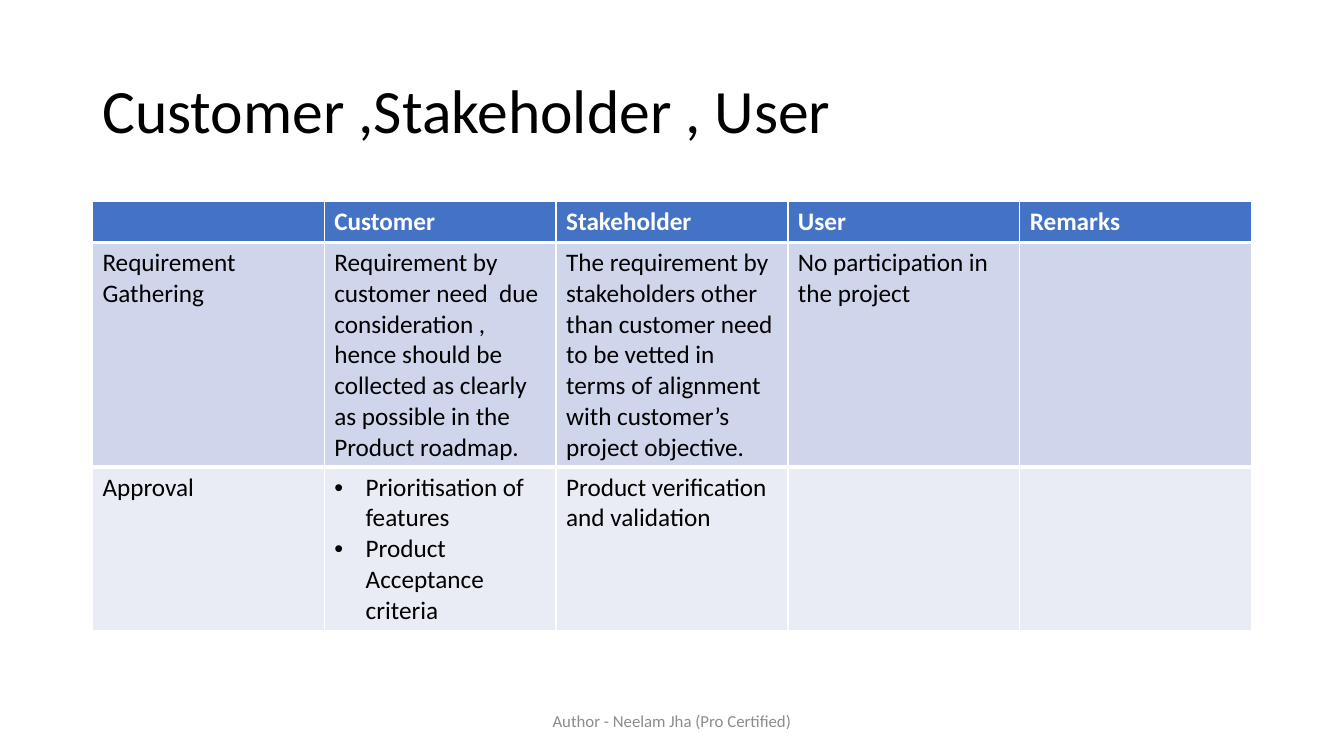
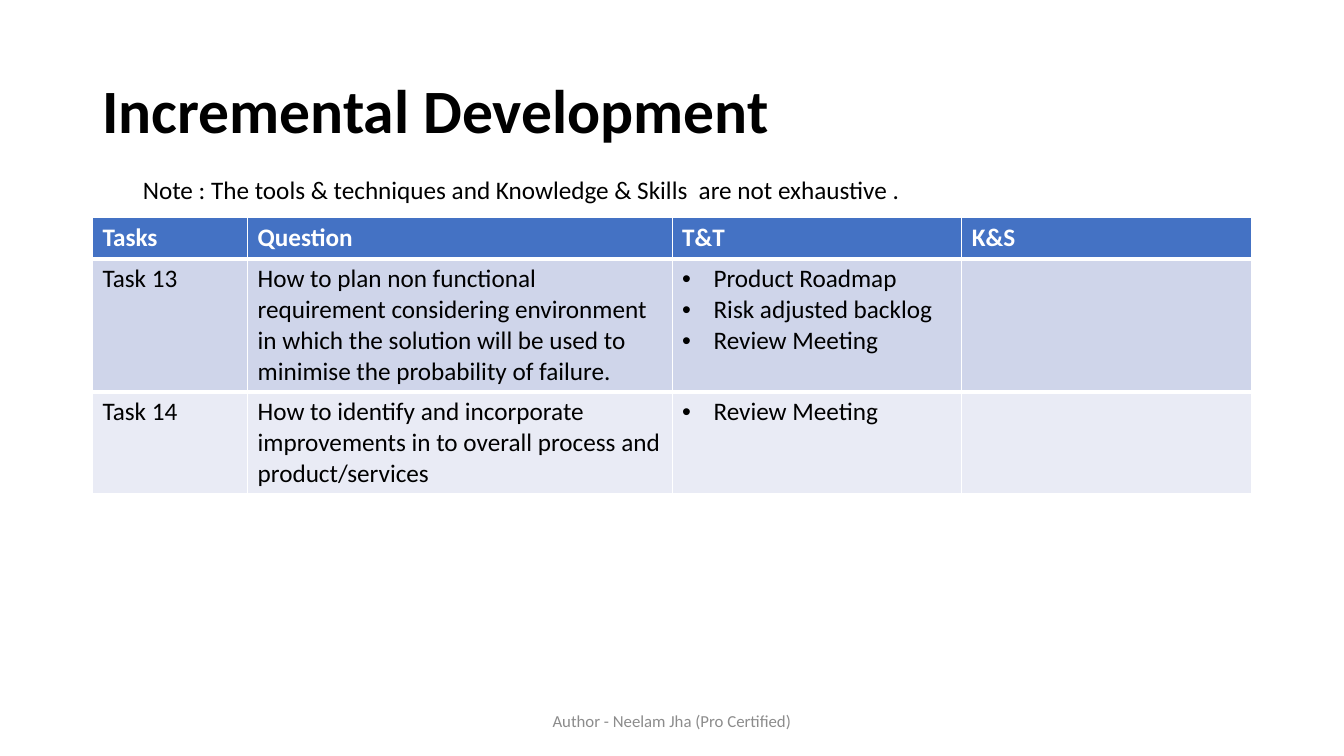
from dataclasses import dataclass

from lxml import etree
from pptx import Presentation
from pptx.dml.color import RGBColor
from pptx.enum import text
from pptx.oxml import ns
from pptx.util import Cm, Pt


@dataclass(frozen=True)
class Theme:
    """Colours, type sizes and shared measures."""
    font: str = "Calibri"
    ink: str = "000000"
    pale: str = "FFFFFF"
    grey: str = "8C8C8C"
    head: str = "4472C4"
    bands: tuple = ("CFD5EA", "E9EBF5")
    title: int = 44
    body: int = 18
    small: int = 12
    rule: int = 3
    left: float = 2.33
    width: float = 29.21
    indent: float = 0.79


THEME = Theme()
FOOTER = "Author - Neelam Jha (Pro Certified)"

ROLES = [
    ["", "Customer", "Stakeholder", "User", "Remarks"],
    ["Requirement Gathering",
     "Requirement by customer need  due consideration , hence should be "
     "collected as clearly as possible in the Product roadmap.",
     "The requirement by stakeholders other than customer need to be vetted "
     "in terms of alignment with customer’s project objective.",
     "No participation in the project", ""],
    ["Approval",
     ["Prioritisation of features", "Product Acceptance criteria"],
     "Product verification and validation", "", ""],
]

TASKS = [
    ["Tasks", "Question", "T&T", "K&S"],
    ["Task 13",
     "How to plan non functional requirement considering environment in "
     "which the solution will be used to minimise the probability of failure.",
     ["Product Roadmap", "Risk adjusted backlog", "Review Meeting"], ""],
    ["Task 14",
     "How to identify and incorporate improvements in to overall process and "
     "product/services",
     ["Review Meeting"], ""],
]


def style(para, size, color, bold=False):
    """Set the font of a paragraph."""
    font = para.font
    font.name, font.size, font.bold = THEME.font, Pt(size), bold
    font.color.rgb = RGBColor.from_string(color)


def bullet(para):
    """Give a paragraph a round bullet and a hanging indent."""
    props = para._p.get_or_add_pPr()
    props.set("marL", str(Cm(THEME.indent)))
    props.set("indent", str(-Cm(THEME.indent)))
    etree.SubElement(props, ns.qn("a:buFont")).set("typeface", "Arial")
    etree.SubElement(props, ns.qn("a:buChar")).set("char", "•")


def edge(cell, side):
    """Draw a thick pale border on one side of a cell."""
    line = etree.Element(ns.qn(side), w=str(Pt(THEME.rule)))
    paint = etree.SubElement(line, ns.qn("a:solidFill"))
    etree.SubElement(paint, ns.qn("a:srgbClr")).set("val", THEME.pale)
    cell._tc.get_or_add_tcPr().insert(0, line)


def label(slide, words, box, size, color, bold=False, wrap=True):
    """Add a text box and return its paragraph."""
    frame = slide.shapes.add_textbox(*map(Cm, box)).text_frame
    frame.word_wrap = wrap
    frame.vertical_anchor = text.MSO_ANCHOR.MIDDLE
    para = frame.paragraphs[0]
    para.text = words
    style(para, size, color, bold)
    return para


def page(deck, title, bold=False):
    """Add a slide with its title and footer."""
    slide = deck.slides.add_slide(deck.slide_layouts[6])
    box = (THEME.left, 1.01, THEME.width, 3.68)
    label(slide, title, box, THEME.title, THEME.ink, bold).line_spacing = 0.9
    foot = label(slide, FOOTER, (11.22, 17.65, 11.43, 1.01),
                 THEME.small, THEME.grey)
    foot.alignment = text.PP_ALIGN.CENTER
    return slide


def note(slide, words):
    """Add a one-line remark above the table."""
    para = label(slide, words, (3.35, 4.27, 19.84, 1.03),
                 THEME.body, THEME.ink, wrap=False)
    para.alignment = text.PP_ALIGN.LEFT


def fill(cell, value, color, ink, bold):
    """Fill a cell with a string, or with a list as bullets."""
    cell.fill.solid()
    cell.fill.fore_color.rgb = RGBColor.from_string(color)
    listed = isinstance(value, list)
    cell.text = "\n".join(value) if listed else value
    for para in cell.text_frame.paragraphs:
        if listed:
            bullet(para)
        style(para, THEME.body, ink, bold)


def grid(slide, data, top, widths, heights):
    """Add a table with a header row and banded body rows."""
    frame = slide.shapes.add_table(
        len(data), len(widths), Cm(THEME.left), Cm(top),
        Cm(THEME.width), Cm(sum(heights)))
    table = frame.table
    for col, width in zip(table.columns, widths):
        col.width = Cm(width)
    for i, (row, height, values) in enumerate(zip(table.rows, heights, data)):
        row.height = Cm(height)
        head = i == 0
        color = THEME.head if head else THEME.bands[(i - 1) % 2]
        ink = THEME.pale if head else THEME.ink
        for cell, value in zip(row.cells, values):
            fill(cell, value, color, ink, head)
            if i < 2:
                edge(cell, "a:lnB" if head else "a:lnT")


def main():
    """Build both slides and save the deck."""
    deck = Presentation()
    deck.slide_width, deck.slide_height = Cm(33.87), Cm(19.05)

    slide = page(deck, "Customer ,Stakeholder , User")
    grid(slide, ROLES, 5.08, [THEME.width / 5] * 5, [1.03, 5.66, 4.13])

    slide = page(deck, "Incremental Development", bold=True)
    grid(slide, TASKS, 5.49, [3.91, 10.7, 7.3, 7.3], [1.03, 3.35, 2.58])
    note(slide, "Note : The tools & techniques and Knowledge & Skills  "
                "are not exhaustive .")

    deck.save("out.pptx")


if __name__ == "__main__":
    main()
